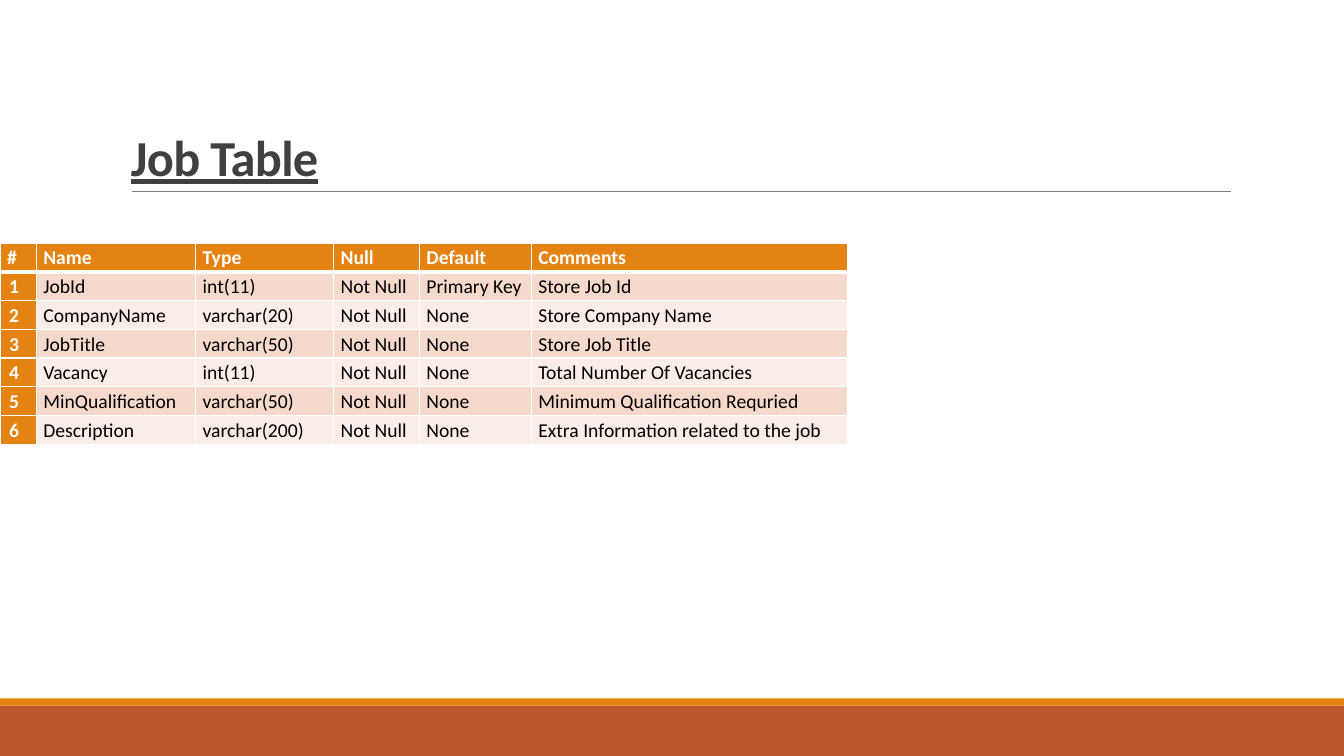
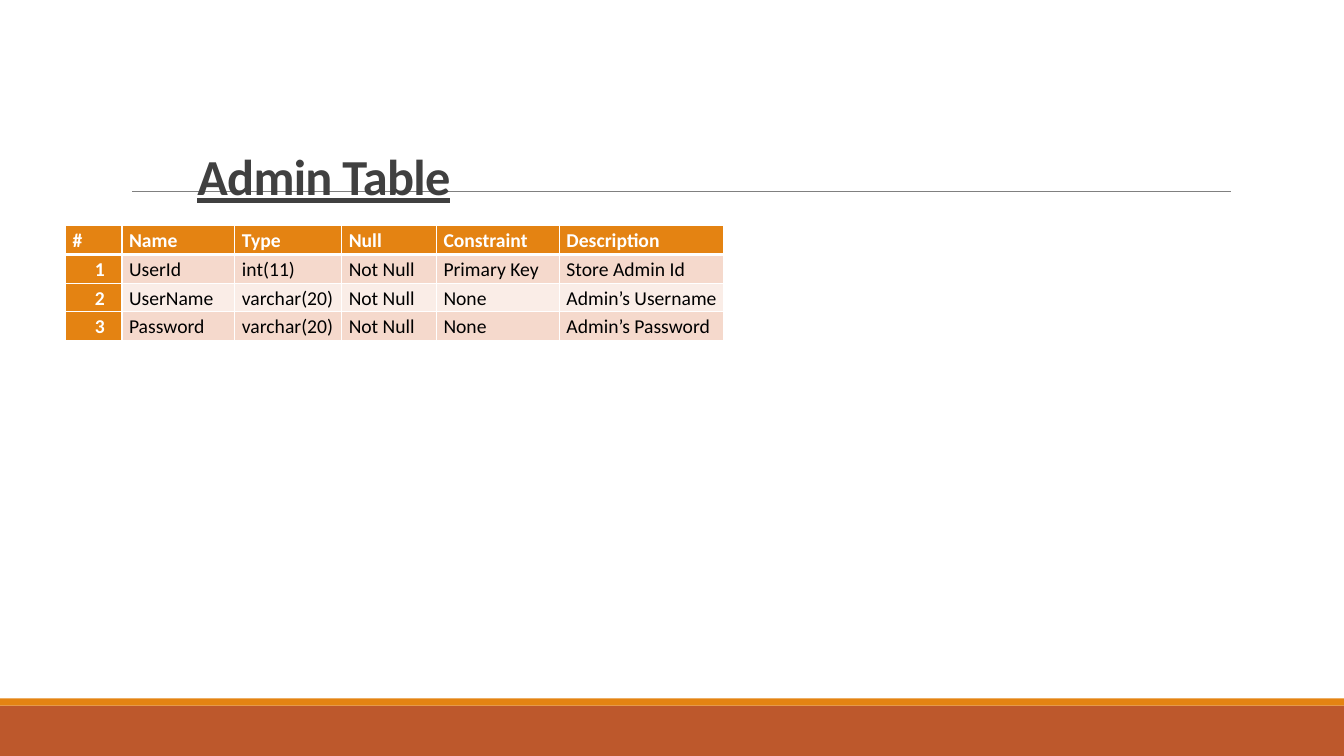
from dataclasses import dataclass

from lxml import etree
from pptx import Presentation
from pptx.dml.color import RGBColor
from pptx.enum.shapes import MSO_CONNECTOR, MSO_SHAPE
from pptx.enum.text import MSO_ANCHOR, PP_ALIGN
from pptx.oxml.ns import qn
from pptx.util import Inches, Pt

RECTANGLE = MSO_SHAPE.RECTANGLE
STRAIGHT = MSO_CONNECTOR.STRAIGHT
BOTTOM, MIDDLE = MSO_ANCHOR.BOTTOM, MSO_ANCHOR.MIDDLE
LEFT, RIGHT = PP_ALIGN.LEFT, PP_ALIGN.RIGHT


@dataclass(frozen=True)
class Theme:
    font: str = "Calibri"
    title_size: int = 36
    cell_size: int = 14
    title: str = "404040"
    rule: str = "808080"
    footer: str = "BD582C"
    accent: str = "E48312"
    odd_row: str = "F5D9CC"
    even_row: str = "FAEDE7"
    light: str = "FFFFFF"
    dark: str = "000000"


THEME = Theme()


def style_font(font, size, color, bold):
    font.name = THEME.font
    font.size = Pt(size)
    font.bold = bold
    font.color.rgb = RGBColor.from_string(color)


def add_border(cell, side, points):
    line = etree.SubElement(cell._tc.get_or_add_tcPr(), qn(f"a:ln{side}"),
                            w=str(Pt(points)))
    fill = etree.SubElement(line, qn("a:solidFill"))
    etree.SubElement(fill, qn("a:srgbClr"), val=THEME.light)


# Content: each row is numbered when it is drawn
PAGES = [
    {
        "title": "Job Table",
        "title_at": (1.2, 0.31),
        "table_at": (0, 2.41),
        "table_height": 2,
        "columns": [0.36, 1.58, 1.37, 0.85, 1.11, 3.14],
        "header": ["#", "Name", "Type", "Null", "Default", "Comments"],
        "fields": [
            ["JobId", "int(11)", "Not Null", "Primary Key", "Store Job Id"],
            ["CompanyName", "varchar(20)", "Not Null", "None", "Store Company Name"],
            ["JobTitle", "varchar(50)", "Not Null", "None", "Store Job Title"],
            ["Vacancy", "int(11)", "Not Null", "None", "Total Number Of Vacancies"],
            ["MinQualification", "varchar(50)", "Not Null", "None",
             "Minimum Qualification Requried"],
            ["Description", "varchar(200)", "Not Null", "None",
             "Extra Information related to the job"],
        ],
    },
    {
        "title": "Admin Table",
        "title_at": (1.86, 0.5),
        "table_at": (0.65, 2.24),
        "table_height": 1.14,
        "columns": [0.56, 1.12, 1.06, 0.94, 1.22, 1.63],
        "header": ["#", "Name", "Type", "Null", "Constraint", "Description"],
        "fields": [
            ["UserId", "int(11)", "Not Null", "Primary Key", "Store Admin Id"],
            ["UserName", "varchar(20)", "Not Null", "None", "Admin’s Username"],
            ["Password", "varchar(20)", "Not Null", "None", "Admin’s Password"],
        ],
    },
]

prs = Presentation()
prs.slide_width = Inches(13.33)
prs.slide_height = Inches(7.5)
blank_layout = prs.slide_layouts[6]

for page in PAGES:
    slide = prs.slides.add_slide(blank_layout)

    # Footer bands
    for top, height, color in [(7, 0.5, THEME.footer), (6.93, 0.07, THEME.accent)]:
        band = slide.shapes.add_shape(RECTANGLE, 0, Inches(top),
                                      prs.slide_width, Inches(height))
        band.shadow.inherit = False
        band.fill.solid()
        band.fill.fore_color.rgb = RGBColor.from_string(color)
        band.line.fill.background()

    # Rule under the title
    rule = slide.shapes.add_connector(STRAIGHT, Inches(1.31), Inches(1.9),
                                      Inches(12.21), Inches(1.9))
    rule.line.color.rgb = RGBColor.from_string(THEME.rule)
    rule.line.width = Pt(0.5)
    etree.SubElement(rule._element.spPr, qn("a:effectLst"))

    # Title
    left, top = page["title_at"]
    title = slide.shapes.add_textbox(Inches(left), Inches(top),
                                     Inches(11), Inches(1.59))
    title.text_frame.word_wrap = True
    title.text_frame.vertical_anchor = BOTTOM
    title.text_frame.text = page["title"]
    heading = title.text_frame.paragraphs[0]
    heading.line_spacing = 0.85
    title_run = heading.runs[0]
    style_font(title_run.font, THEME.title_size, THEME.title, True)
    title_run.font.underline = True
    title_run._r.get_or_add_rPr().set("spc", "-50")

    # Field table
    rows = [page["header"]]
    rows += [[str(n), *field] for n, field in enumerate(page["fields"], 1)]
    left, top = page["table_at"]
    table = slide.shapes.add_table(
        len(rows), len(page["columns"]), Inches(left), Inches(top),
        Inches(sum(page["columns"])), Inches(page["table_height"])).table
    table.first_col = True
    for column, width in zip(table.columns, page["columns"]):
        column.width = Inches(width)

    for r, row in enumerate(rows):
        for c, text in enumerate(row):
            is_header = r == 0
            is_number = c == 0 and not is_header
            is_label = is_header or is_number
            cell = table.cell(r, c)
            cell.vertical_anchor = MIDDLE
            cell.margin_left = Inches(0.07)
            cell.margin_right = Inches(0.17 if is_number else 0.05)
            cell.margin_top = cell.margin_bottom = Inches(0.01)

            # A thick line parts the header from the first row
            add_border(cell, "L", 1)
            add_border(cell, "R", 1)
            add_border(cell, "T", 3 if r == 1 else 1)
            add_border(cell, "B", 3 if is_header else 1)
            stripe = THEME.odd_row if r % 2 else THEME.even_row
            cell.fill.solid()
            cell.fill.fore_color.rgb = RGBColor.from_string(
                THEME.accent if is_label else stripe)

            cell.text_frame.text = text
            entry = cell.text_frame.paragraphs[0]
            entry.alignment = RIGHT if is_number else LEFT
            entry.line_spacing = 1.07
            entry.space_after = Pt(1.2)
            style_font(entry.runs[0].font, THEME.cell_size,
                       THEME.light if is_label else THEME.dark, is_label)

prs.save("out.pptx")
